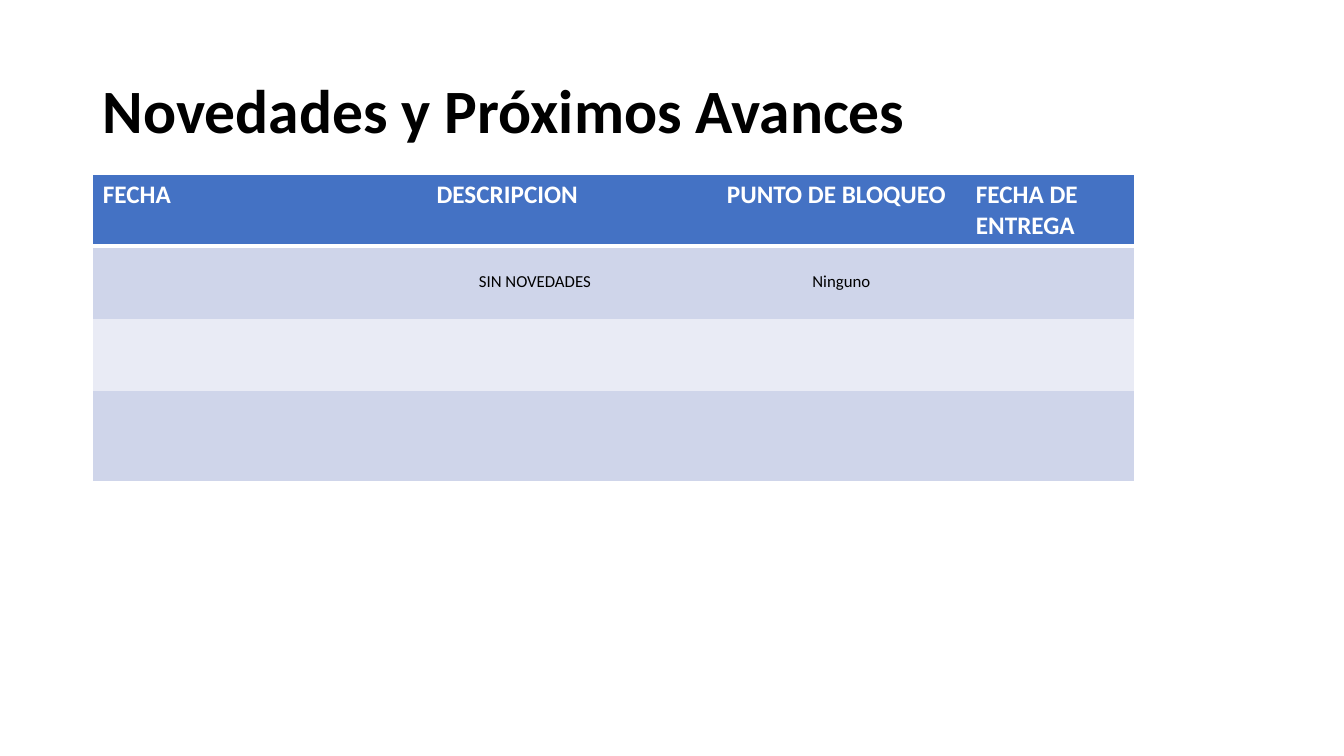
import pptx
import pptx.dml.color
import pptx.enum.text
import pptx.oxml
import pptx.oxml.ns
import pptx.util

Inches = pptx.util.Inches
Pt = pptx.util.Pt
PP_ALIGN = pptx.enum.text.PP_ALIGN
MSO_ANCHOR = pptx.enum.text.MSO_ANCHOR


def color(hex_value):
    return pptx.dml.color.RGBColor.from_string(hex_value)


class SlideBuilder:
    """Hold the style and the current slide, and add its title and table."""

    font = "Calibri"
    black = "000000"
    white = "FFFFFF"
    header_fill = "4472C4"
    band_fills = ("CFD5EA", "E9EBF5")
    plain_table_style = "{2D5ABB26-0587-4C30-8999-92F81FD0307C}"

    def __init__(self, presentation):
        self.slide = presentation.slides.add_slide(presentation.slide_layouts[5])

    def add_run(self, paragraph, text, size, text_color, bold=False):
        run = paragraph.add_run()
        run.text = text
        run.font.name = self.font
        run.font.size = Pt(size)
        run.font.bold = bold
        run.font.color.rgb = color(text_color)

    def add_title(self, text, left, top, width, height):
        title = self.slide.shapes.title
        title.left, title.top = Inches(left), Inches(top)
        title.width, title.height = Inches(width), Inches(height)
        frame = title.text_frame
        frame.word_wrap = True
        frame.auto_size = pptx.enum.text.MSO_AUTO_SIZE.NONE
        frame.vertical_anchor = MSO_ANCHOR.MIDDLE
        paragraph = frame.paragraphs[0]
        paragraph.alignment = PP_ALIGN.LEFT
        paragraph.line_spacing = 0.9
        self.add_run(paragraph, text, 44, self.black, bold=True)

    def set_border(self, cell, side, width):
        border = pptx.oxml.parse_xml(
            f'<a:{side} {pptx.oxml.ns.nsdecls("a")} w="{Pt(width)}"><a:solidFill>'
            f'<a:srgbClr val="{self.white}"/></a:solidFill></a:{side}>'
        )
        properties = cell._tc.get_or_add_tcPr()
        properties.insert(len(properties) - 1, border)

    def add_table(self, rows, left, top, column_widths, row_heights):
        last_row, last_column = len(row_heights) - 1, len(column_widths) - 1
        frame = self.slide.shapes.add_table(
            len(row_heights), len(column_widths), Inches(left), Inches(top),
            Inches(sum(column_widths)), Inches(sum(row_heights)),
        )
        table = frame.table
        style = table._tbl.tblPr.find(pptx.oxml.ns.qn("a:tableStyleId"))
        style.text = self.plain_table_style
        for column, width in zip(table.columns, column_widths):
            column.width = Inches(width)
        for row_index, (height, texts) in enumerate(zip(row_heights, rows)):
            table.rows[row_index].height = Inches(height)
            is_header = row_index == 0
            for column_index, text in enumerate(texts):
                cell = table.cell(row_index, column_index)
                cell.fill.solid()
                cell.fill.fore_color.rgb = color(
                    self.header_fill if is_header else self.band_fills[(row_index - 1) % 2]
                )
                if column_index == 0:
                    self.set_border(cell, "lnL", 1)
                if column_index == last_column:
                    self.set_border(cell, "lnR", 1)
                if is_header:
                    self.set_border(cell, "lnT", 1)
                if is_header or row_index == last_row:
                    self.set_border(cell, "lnB", 3 if is_header else 1)
                paragraph = cell.text_frame.paragraphs[0]
                if is_header:
                    self.add_run(paragraph, text, 18, self.white, bold=True)
                elif text:
                    cell.vertical_anchor = MSO_ANCHOR.MIDDLE
                    paragraph.alignment = PP_ALIGN.CENTER
                    self.add_run(paragraph, text, 12, self.black)
        return table


def main():
    presentation = pptx.Presentation()
    presentation.slide_width = Inches(13.33)
    presentation.slide_height = Inches(7.5)
    builder = SlideBuilder(presentation)
    builder.add_title("Novedades y Próximos Avances", 0.92, 0.4, 11.5, 1.45)
    rows = [
        ("FECHA", "DESCRIPCION", "PUNTO DE BLOQUEO", "FECHA DE ENTREGA"),
        ("", "SIN NOVEDADES", "Ninguno", ""),
        ("",) * 4,
        ("",) * 4,
    ]
    table = builder.add_table(
        rows, 0.92, 1.73, (2.58, 3.61, 2.47, 1.67), (0.71, 0.72, 0.72, 0.9)
    )
    table.cell(0, 1).margin_left = Inches(0.83)
    presentation.save("out.pptx")


if __name__ == "__main__":
    main()
